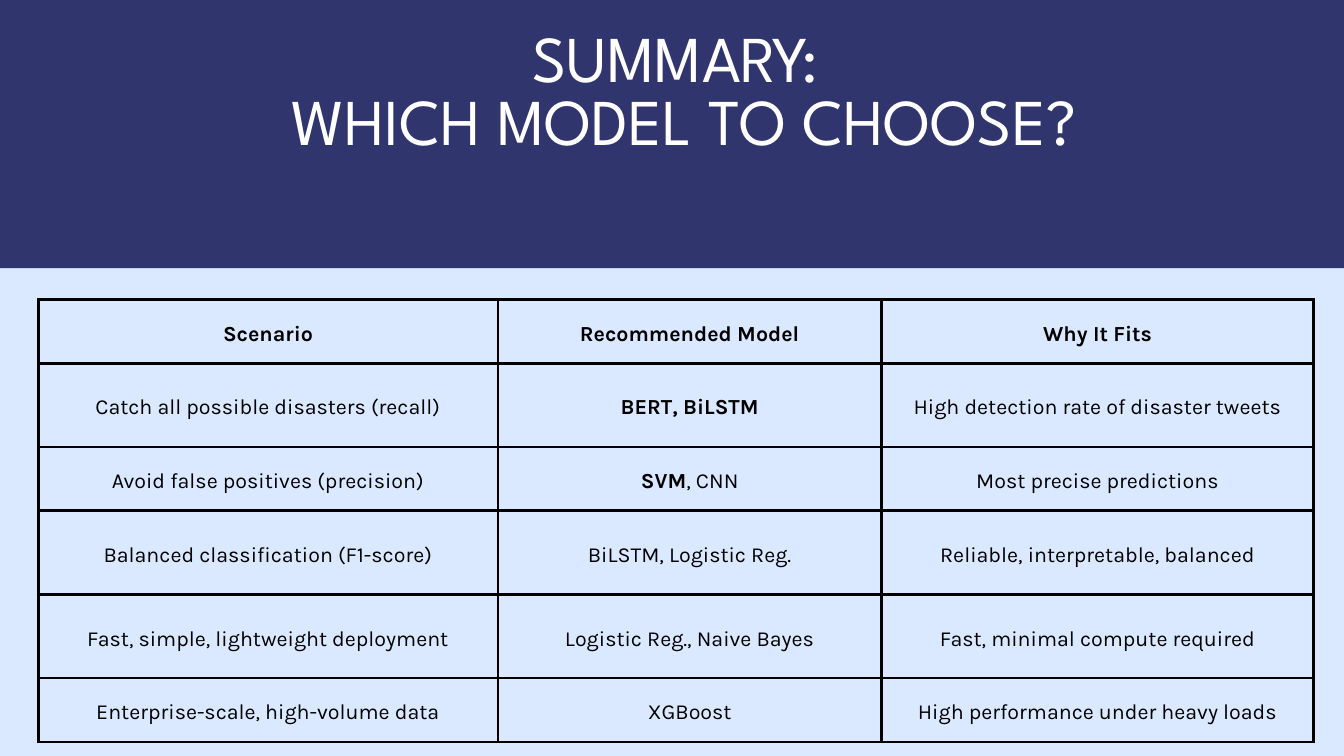
from lxml.etree import SubElement
from pptx import Presentation
from pptx.dml.color import RGBColor
from pptx.enum.shapes import MSO_SHAPE
from pptx.enum.text import MSO_ANCHOR, MSO_AUTO_SIZE, PP_ALIGN
from pptx.oxml.ns import qn
from pptx.util import Inches, Pt

# Content: a cell is a list of (text, bold) runs
TITLE_LINES = ["SUMMARY: ", "WHICH MODEL TO CHOOSE?"]
HEADERS = ["Scenario", "Recommended Model", "Why It Fits"]
CHOICES = [
    ("Catch all possible disasters (recall)", [("BERT, BiLSTM", True)],
     "High detection rate of disaster tweets"),
    ("Avoid false positives (precision)", [("SVM", True), (", CNN", False)],
     "Most precise predictions"),
    ("Balanced classification (F1-score)", [("BiLSTM, Logistic Reg.", False)],
     "Reliable, interpretable, balanced"),
    ("Fast, simple, lightweight deployment", [("Logistic Reg., Naive Bayes", False)],
     "Fast, minimal compute required"),
    ("Enterprise-scale, high-volume data", [("XGBoost", False)],
     "High performance under heavy loads"),
]
COLUMN_WIDTHS = [6.84, 5.71, 6.43]
ROW_HEIGHTS = [0.95, 1.24, 0.95, 1.25, 1.24, 0.95]

THEME = {
    "background": "DAE9FF", "band": "31356E", "title": "FFFFFF", "ink": "000000",
    "title_font": "League Spartan", "title_size": 70, "title_spacing": 67.2,
    "cell_font": "Karla", "cell_size": 23, "cell_spacing": 32.2,
    "cell_margin": 0.21, "border": 3,
}


def color(name):
    return RGBColor.from_string(THEME[name])


def style_paragraph(paragraph, kind, color_name):
    paragraph.alignment = PP_ALIGN.CENTER
    paragraph.line_spacing = Pt(THEME[kind + "_spacing"])
    paragraph.space_before = paragraph.space_after = Pt(0)
    paragraph.font.name = THEME[kind + "_font"]
    paragraph.font.size = Pt(THEME[kind + "_size"])
    paragraph.font.color.rgb = color(color_name)


def add_borders(cell):
    properties = cell._tc.get_or_add_tcPr()
    for position, side in enumerate(("a:lnL", "a:lnR", "a:lnT", "a:lnB")):
        line = SubElement(properties, qn(side), w=str(Pt(THEME["border"])))
        fill = SubElement(line, qn("a:solidFill"))
        SubElement(fill, qn("a:srgbClr"), val=THEME["ink"])
        properties.insert(position, line)  # borders come before the fill


def fill_cell(cell, runs):
    cell.fill.background()
    cell.vertical_anchor = MSO_ANCHOR.MIDDLE
    margin = Inches(THEME["cell_margin"])
    cell.margin_left = cell.margin_right = margin
    cell.margin_top = cell.margin_bottom = margin
    paragraph = cell.text_frame.paragraphs[0]
    style_paragraph(paragraph, "cell", "ink")
    for text, bold in runs:
        run = paragraph.add_run()
        run.text = text
        run.font.bold = bold
        # Table text takes its look from the runs
        run.font.name = THEME["cell_font"]
        run.font.size = Pt(THEME["cell_size"])
        run.font.color.rgb = color("ink")
    add_borders(cell)


def add_title(slide):
    title = slide.shapes.title
    title.left, title.top = Inches(1.12), Inches(0.49)
    title.width, title.height = Inches(18.11), Inches(1.92)
    frame = title.text_frame
    frame.word_wrap = True
    frame.auto_size = MSO_AUTO_SIZE.SHAPE_TO_FIT_TEXT
    frame.vertical_anchor = MSO_ANCHOR.TOP
    frame.margin_left = frame.margin_right = frame.margin_top = frame.margin_bottom = 0
    frame.text = "\n".join(TITLE_LINES)
    for paragraph in frame.paragraphs:
        style_paragraph(paragraph, "title", "title")
    return title


def add_band(slide, title):
    band = slide.shapes.add_shape(MSO_SHAPE.RECTANGLE, Inches(-0.4), Inches(-0.68),
                                  Inches(21.16), Inches(4.67))
    band.shadow.inherit = False
    band.fill.solid()
    band.fill.fore_color.rgb = color("band")
    band.line.fill.background()
    title.element.addprevious(band.element)  # keep the band behind the title


def add_choice_table(slide):
    rows = [[[(header, True)] for header in HEADERS]]
    rows += [[[(scenario, False)], models, [(reason, False)]]
             for scenario, models, reason in CHOICES]
    frame = slide.shapes.add_table(len(rows), len(HEADERS), Inches(0.57), Inches(4.46),
                                   Inches(sum(COLUMN_WIDTHS)), Inches(sum(ROW_HEIGHTS)))
    table = frame.table
    table.first_row = table.horz_banding = False
    for column, width in zip(table.columns, COLUMN_WIDTHS):
        column.width = Inches(width)
    for row, height, contents in zip(table.rows, ROW_HEIGHTS, rows):
        row.height = Inches(height)
        for cell, runs in zip(row.cells, contents):
            fill_cell(cell, runs)


def main():
    presentation = Presentation()
    presentation.slide_width, presentation.slide_height = Inches(20), Inches(11.25)
    slide = presentation.slides.add_slide(presentation.slide_layouts.get_by_name("Title Only"))
    slide.background.fill.solid()
    slide.background.fill.fore_color.rgb = color("background")

    title = add_title(slide)
    add_band(slide, title)
    add_choice_table(slide)
    presentation.save("out.pptx")


if __name__ == "__main__":
    main()
